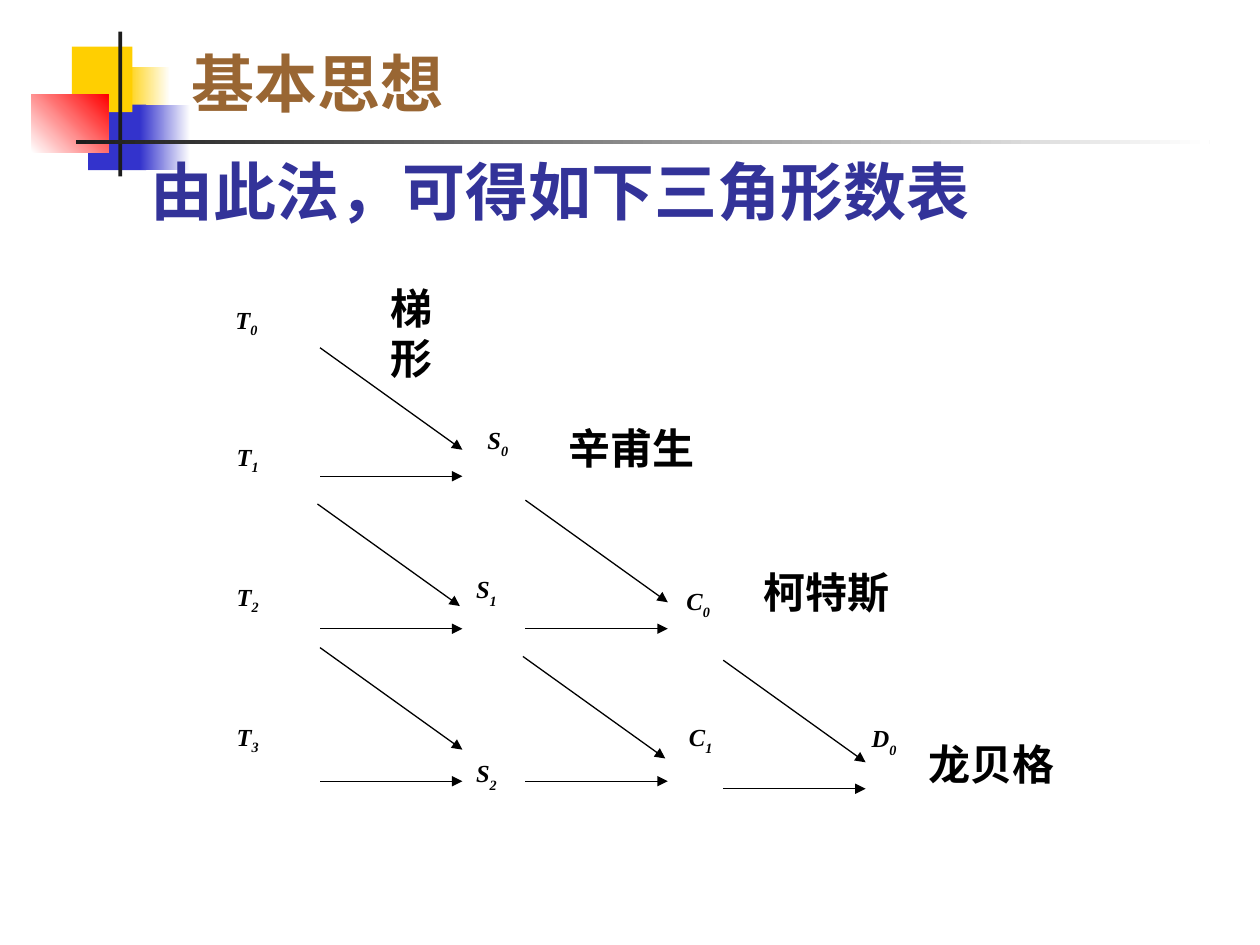
from lxml import etree
from pptx import Presentation
from pptx.dml.color import RGBColor
from pptx.enum import shapes, text
from pptx.oxml.ns import qn
from pptx.util import Inches, Pt

BLACK = RGBColor(0x00, 0x00, 0x00)
WHITE = RGBColor(0xFF, 0xFF, 0xFF)
CHARCOAL = RGBColor(0x1C, 0x1C, 0x1C)
YELLOW = RGBColor(0xFF, 0xCF, 0x01)
BLUE = RGBColor(0x33, 0x33, 0xCC)
RED = RGBColor(0xFF, 0x00, 0x00)
NAVY = RGBColor(0x33, 0x33, 0x99)
BROWN = RGBColor(0x99, 0x66, 0x33)

SERIF = "Times New Roman"

prs = Presentation()
prs.slide_width, prs.slide_height = Inches(10), Inches(7.5)
slide = prs.slides.add_slide(prs.slide_layouts[6])


def add_text(box, pieces, font, wrap=True, insets=(0.1, 0.05, 0.1, 0.05),
             align=None, anchor=text.MSO_ANCHOR.TOP):
    """Add a text box; pieces are (string, subscript offset in percent)."""
    frame = slide.shapes.add_textbox(*map(Inches, box)).text_frame
    settings = {"word_wrap": wrap, "vertical_anchor": anchor}
    for side, inset in zip(("left", "top", "right", "bottom"), insets):
        settings["margin_" + side] = Inches(inset)
    for key, value in settings.items():
        setattr(frame, key, value)
    paragraph = frame.paragraphs[0]
    paragraph.alignment = align
    for words, offset in pieces:
        run = paragraph.add_run()
        run.text = words
        for key, value in font.items():
            if key == "color":
                run.font.color.rgb = value
            else:
                setattr(run.font, key, value)
        if offset:
            run._r.get_or_add_rPr().set("baseline", str(offset * 1000))


def add_arrow(x, y, dx, dy):
    arrow = slide.shapes.add_connector(
        shapes.MSO_CONNECTOR.STRAIGHT,
        Inches(x), Inches(y), Inches(x + dx), Inches(y + dy))
    arrow.line.color.rgb = BLACK
    arrow.line.width = Pt(0.75)
    etree.SubElement(arrow.line._get_or_add_ln(), qn("a:tailEnd"), type="triangle")
    etree.SubElement(arrow._element.spPr, qn("a:effectLst"))


# Corner ornament: box, colours from start to end, gradient angle
ornament = [
    ((0.99, 0.53, 0.36, 0.52), (YELLOW, WHITE), 0),
    ((0.7, 0.83, 0.46, 0.52), (BLUE,), 0),
    ((0.57, 0.37, 0.48, 0.52), (YELLOW,), 0),
    ((1.11, 0.83, 0.4, 0.52), (BLUE, WHITE), 0),
    ((0.25, 0.75, 0.61, 0.46), (WHITE, RED), 45),
    ((0.94, 0.25, 0.03, 1.15), (CHARCOAL,), 0),
    ((0.6, 1.11, 9, 0.03), (CHARCOAL, WHITE), 0),
]
for box, colors, angle in ornament:
    block = slide.shapes.add_shape(shapes.MSO_SHAPE.RECTANGLE, *map(Inches, box))
    block.shadow.inherit = False
    block.line.fill.background()
    if len(colors) == 1:
        block.fill.solid()
        block.fill.fore_color.rgb = colors[0]
    else:
        block.fill.gradient()
        block.fill.gradient_angle = angle
        for stop, color in zip(block.fill.gradient_stops, colors):
            stop.color.rgb = color

# Headings
heading_font = {"size": Pt(36), "bold": True}
add_text((1.1, 1.16, 6.7, 0.7), [("由此法，可得如下三角形数表", 0)],
         {**heading_font, "name": SERIF, "color": NAVY}, wrap=False)
add_text((1.42, 0.5, 7.83, 0.5), [("基本思想", 0)],
         {**heading_font, "name": "Roboto", "color": BROWN},
         anchor=text.MSO_ANCHOR.BOTTOM)

# Arrows between the columns of the triangle
ARROW_WIDTH, ARROW_DROP = 1.13, 0.81
level_starts = [(2.54, 3.78), (2.54, 4.99), (2.54, 6.2),
                (4.17, 4.99), (4.17, 6.2), (5.74, 6.26)]
falling_starts = [(2.54, 2.76), (2.52, 4), (2.54, 5.14),
                  (4.17, 3.97), (4.15, 5.21), (5.74, 5.24)]
for starts, drop in ((level_starts, 0), (falling_starts, ARROW_DROP)):
    for x, y in starts:
        add_arrow(x, y, ARROW_WIDTH, drop)

# Rule name of each column
rule_font = {"name": SERIF, "size": Pt(24), "bold": True, "color": BLACK}
rules = [("梯形", 3.1, 2.18, 0.57), ("辛甫生", 4.51, 3.29, 1.16),
         ("柯特斯", 6.06, 4.44, 1.15), ("龙贝格", 7.37, 5.8, 1.15)]
for rule, x, y, width in rules:
    add_text((x, y, width, 0.8), [(rule, 0)], rule_font,
             insets=(0, 0.06, 0, 0), align=text.PP_ALIGN.JUSTIFY)

# Table entries: letter, box width, subscript offset, positions by index
entry_font = {"name": SERIF, "size": Pt(14), "bold": True, "italic": True,
              "color": BLACK}
columns = [
    ("T", 0.67, -25, [(1.77, 2.37), (1.78, 3.46), (1.78, 4.57), (1.78, 5.68)]),
    ("S", 0.45, -30, [(3.77, 3.32), (3.68, 4.51), (3.68, 5.97)]),
    ("C", 0.43, -30, [(5.35, 4.6), (5.37, 5.68)]),
    ("D", 0.96, -30, [(6.82, 5.69)]),
]
for letter, width, offset, positions in columns:
    for index, (x, y) in enumerate(positions):
        add_text((x, y, width, 0.38), [(letter, 0), (str(index), offset)], entry_font)

prs.save("out.pptx")
